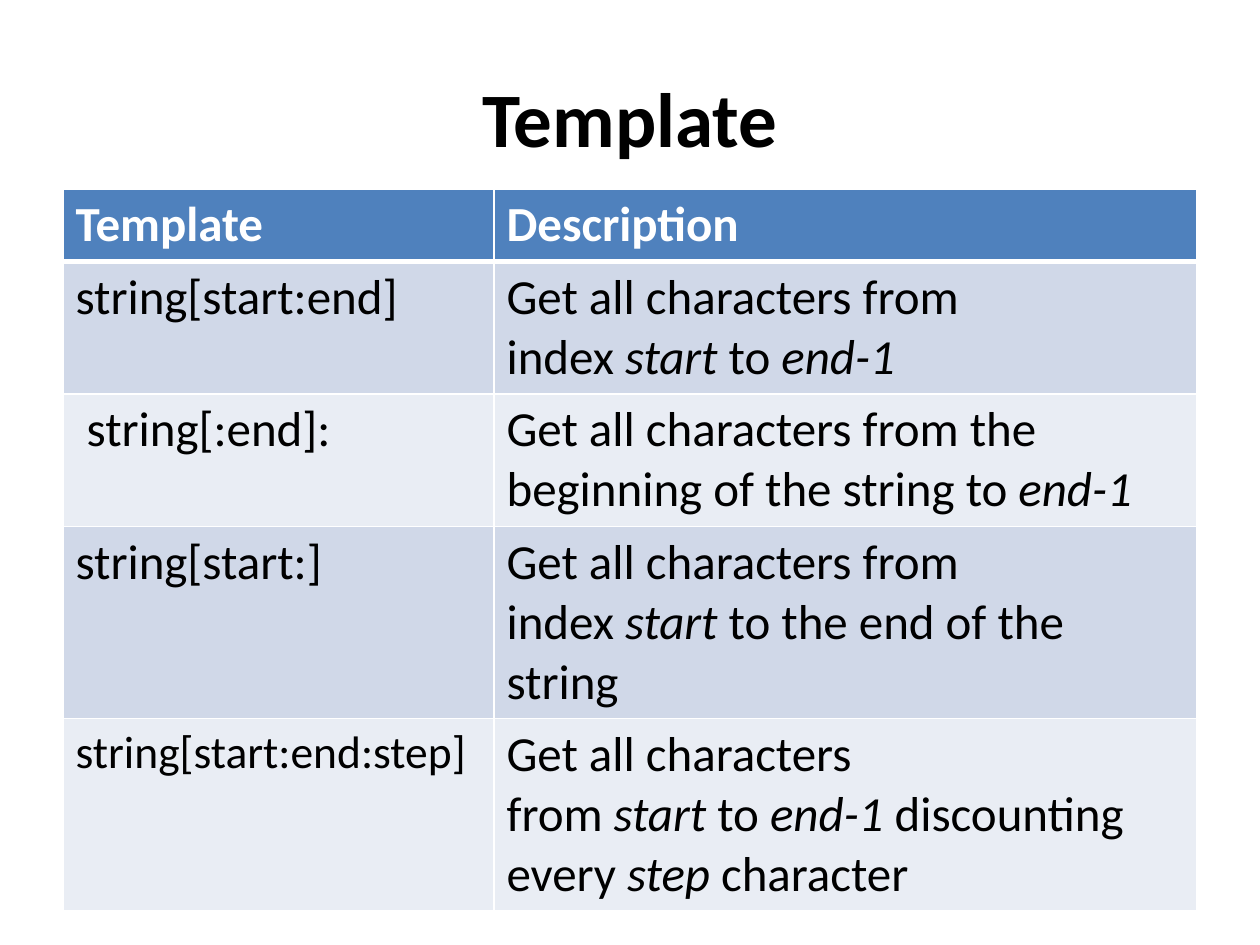
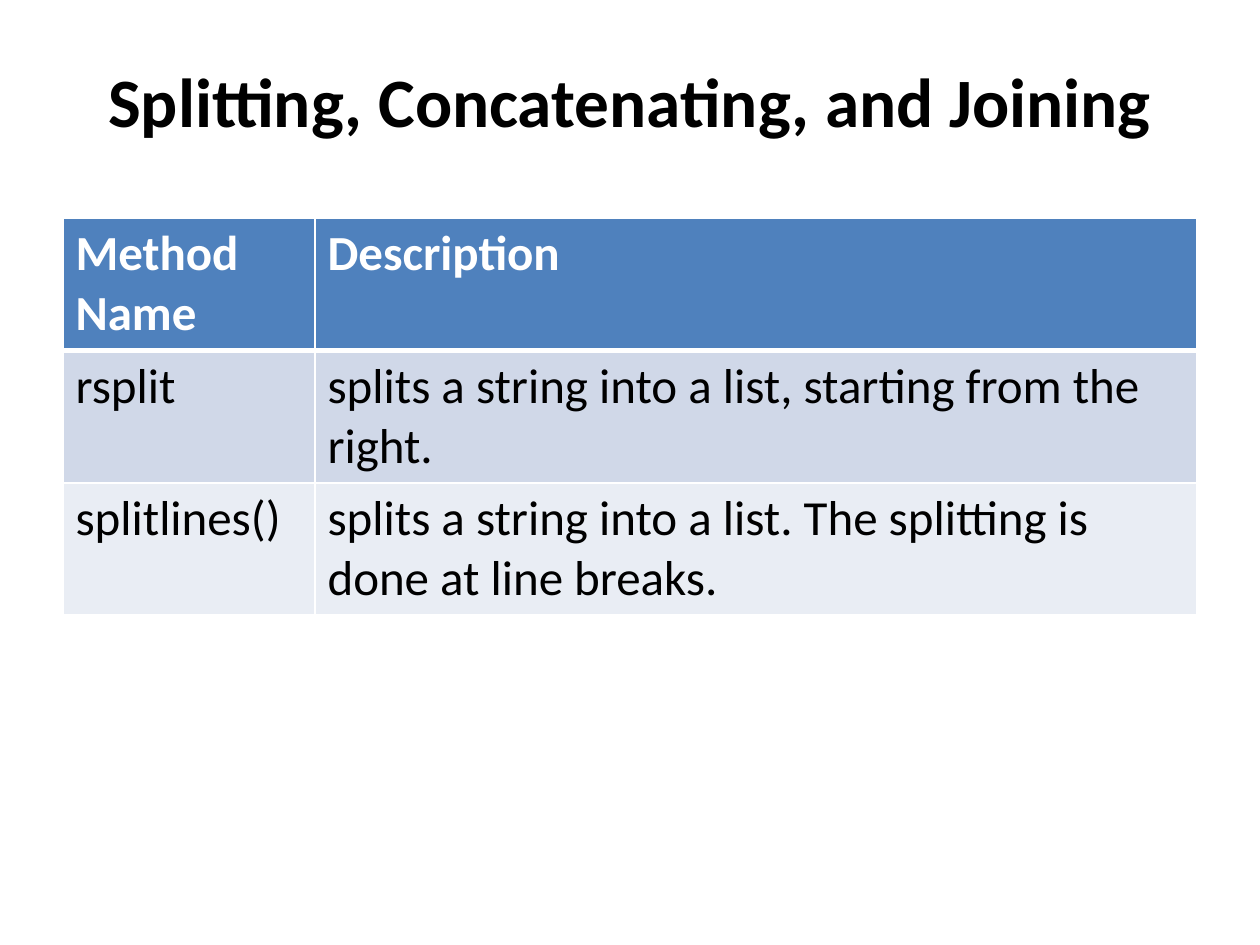
from lxml import etree
from pptx import Presentation
from pptx.dml.color import RGBColor
from pptx.enum.text import MSO_ANCHOR, MSO_AUTO_SIZE, PP_ALIGN
from pptx.oxml.ns import qn
from pptx.util import Pt

MIDDLE, CENTER, NO_FIT = MSO_ANCHOR.MIDDLE, PP_ALIGN.CENTER, MSO_AUTO_SIZE.NONE

# Asterisks enclose italic words
SLIDES = [
    {
        "title": "Template", "title_size": 44, "title_top": 38,
        "table_top": 189, "columns": [431, 703], "row_lines": [1, 2, 2, 3, 3],
        "rows": [
            ("Template", "Description"),
            ("string[start:end]", "Get all characters from index *start* to *end-1*"),
            (" string[:end]:",
             "Get all characters from the beginning of the string to *end-1*"),
            ("string[start:]",
             "Get all characters from index *start* to the end of the string"),
            ("string[start:end:step]",
             "Get all characters from *start* to *end-1* discounting every *step* character"),
        ],
        "sizes": {(4, 0): 26},
    },
    {
        "title": "Splitting, Concatenating, and Joining", "title_size": 39.6, "title_top": 21,
        "table_top": 218, "columns": [252, 882], "row_lines": [2, 2, 2],
        "rows": [
            ("Method Name", "Description"),
            ("rsplit", "splits a string into a list, starting from the right."),
            ("splitlines()",
             "splits a string into a list. The splitting is done at line breaks."),
        ],
        "sizes": {},
    },
]

FONT, CELL_SIZE = "Calibri", 28
BLACK, WHITE = "000000", "FFFFFF"
HEADER_FILL, BAND_FILLS = "4F81BD", ("E9EDF4", "D0D8E8")
SLIDE_W, SLIDE_H, LEFT, WIDTH, TITLE_H = 1260, 945, 63, 1134, 157
LINE_H, ROW_PADDING = 60, 12
NBSP = chr(160)


def px(n):
    return round(n * 914400 / 126)


def color(hex_text):
    return RGBColor.from_string(hex_text)


def style_run(r, size, hex_text, bold, italic=False):
    r.font.name, r.font.size = FONT, Pt(size)
    r.font.bold, r.font.italic = bold, italic
    r.font.color.rgb = color(hex_text)


def set_borders(cell, bottom):
    """Draw white cell borders; the schema wants them ahead of the fill."""
    tc_pr = cell._tc.get_or_add_tcPr()
    widths = (("lnL", 1), ("lnR", 1), ("lnT", 1), ("lnB", bottom))
    for i, (side, width) in enumerate(widths):
        ln = etree.Element(qn("a:" + side), w=str(Pt(width)))
        fill = etree.SubElement(ln, qn("a:solidFill"))
        etree.SubElement(fill, qn("a:srgbClr"), val=WHITE)
        tc_pr.insert(i, ln)


def fill_cell(cell, text, row, size):
    header = row == 0
    cell.fill.solid()
    cell.fill.fore_color.rgb = color(HEADER_FILL if header else BAND_FILLS[row % 2])
    set_borders(cell, 3 if header else 1)
    p = cell.text_frame.paragraphs[0]
    # Spaces next to italic words do not break
    joined = text.replace(" *", NBSP + "*").replace("* ", "*" + NBSP)
    for i, part in enumerate(joined.split("*")):
        if part:
            r = p.add_run()
            r.text = part
            style_run(r, size, WHITE if header else BLACK, header, i % 2 == 1)


def add_title(slide, content):
    sp = slide.shapes.title
    sp.left, sp.top = px(LEFT), px(content["title_top"])
    sp.width, sp.height = px(WIDTH), px(TITLE_H)
    tf = sp.text_frame
    tf.text = content["title"]
    tf.auto_size, tf.vertical_anchor = NO_FIT, MIDDLE
    p = tf.paragraphs[0]
    p.alignment = CENTER
    style_run(p.runs[0], content["title_size"], BLACK, True)


def add_method_table(slide, content):
    rows, columns = content["rows"], content["columns"]
    heights = [LINE_H * n + ROW_PADDING for n in content["row_lines"]]
    table = slide.shapes.add_table(
        len(rows), len(columns), px(LEFT), px(content["table_top"]),
        px(WIDTH), px(sum(heights))).table
    for column, width in zip(table.columns, columns):
        column.width = px(width)
    for row, height in zip(table.rows, heights):
        row.height = px(height)
    for i, texts in enumerate(rows):
        for j, text in enumerate(texts):
            size = content["sizes"].get((i, j), CELL_SIZE)
            fill_cell(table.cell(i, j), text, i, size)


def main():
    prs = Presentation()
    prs.slide_width, prs.slide_height = px(SLIDE_W), px(SLIDE_H)
    title_only = prs.slide_layouts[5]
    for content in SLIDES:
        slide = prs.slides.add_slide(title_only)
        add_title(slide, content)
        add_method_table(slide, content)
    prs.save("out.pptx")


if __name__ == "__main__":
    main()
